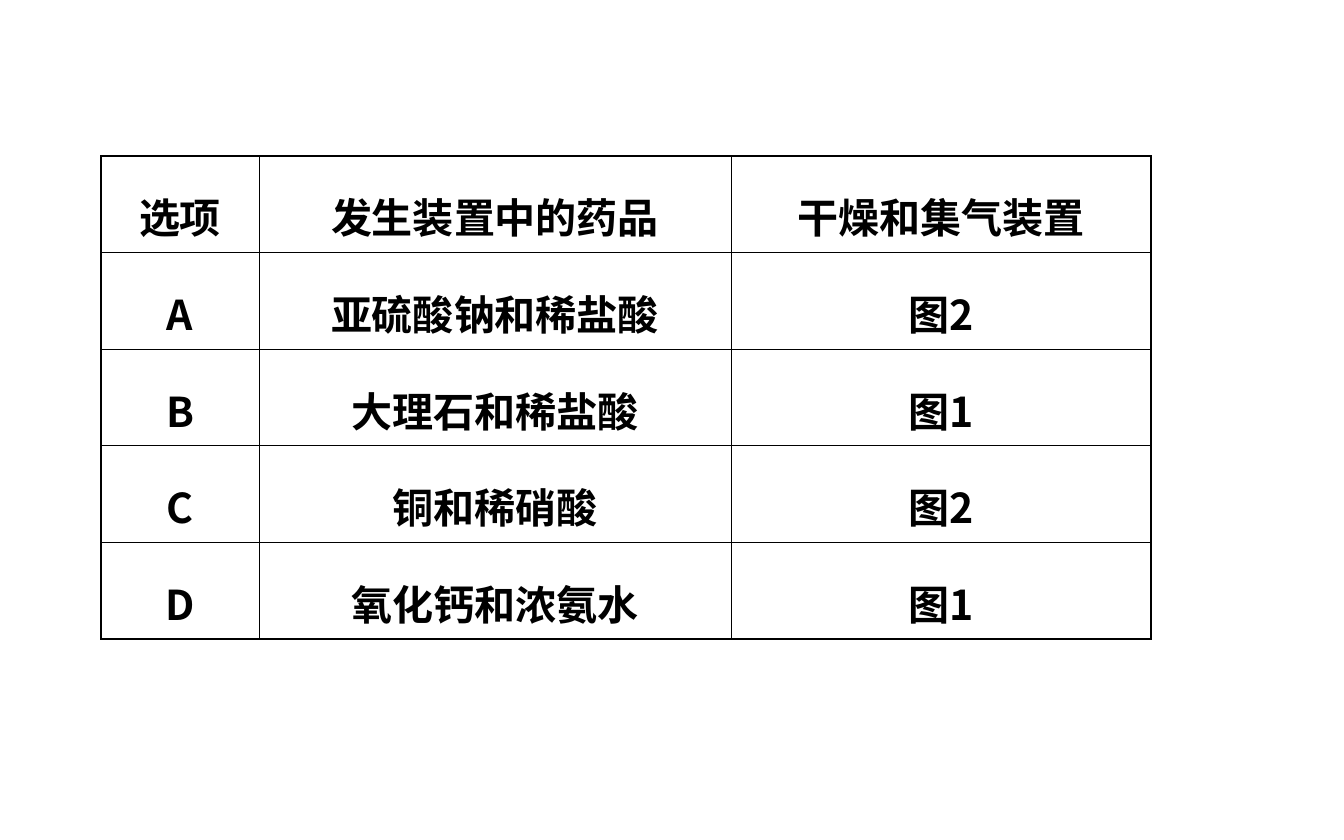
from lxml import etree
from pptx import Presentation
from pptx.dml.color import RGBColor
from pptx.enum.text import PP_ALIGN
from pptx.oxml.ns import qn
from pptx.util import Pt

CENTER = PP_ALIGN.CENTER
PX = 914400 / 134.4
COLORS = {"ink": "000000"}
FACE = "Noto Sans CJK SC"
FONT = {"name": FACE, "size": Pt(22), "bold": True}
THIN, THICK = Pt(0.45), Pt(0.96)
COLS = [158, 472, 420]
ROWS = [
    ("选项", "发生装置中的药品", "干燥和集气装置"),
    ("A", "亚硫酸钠和稀盐酸", "图2"),
    ("B", "大理石和稀盐酸", "图1"),
    ("C", "铜和稀硝酸", "图2"),
    ("D", "氧化钙和浓氨水", "图1"),
]


def px(n):
    return round(n * PX)


def add_edges(cell, outer):
    """Draw the four borders, thick where the side is on the table's rim."""
    props = cell._tc.get_or_add_tcPr()
    for i, (side, rim) in enumerate(outer.items()):
        line = etree.Element(qn(f"a:ln{side}"), w=str(THICK if rim else THIN))
        fill = etree.SubElement(line, qn("a:solidFill"))
        etree.SubElement(fill, qn("a:srgbClr"), val=COLORS["ink"])
        props.insert(i, line)


def set_text(cell, text):
    para = cell.text_frame.paragraphs[0]
    para.alignment = CENTER
    para.line_spacing = 1.4
    run = para.add_run()
    run.text = text
    for key, value in FONT.items():
        setattr(run.font, key, value)
    run.font.color.rgb = RGBColor.from_string(COLORS["ink"])
    # East Asian typeface
    etree.SubElement(run._r.get_or_add_rPr(), qn("a:ea"), typeface=FACE)


def add_grid(slide, left, top, width, height):
    rows, cols = len(ROWS), len(COLS)
    table = slide.shapes.add_table(
        rows, cols, px(left), px(top), px(width), px(height)).table
    table.first_row = table.horz_banding = False
    for col, size in zip(table.columns, COLS):
        col.width = px(size)
    for r, words in enumerate(ROWS):
        for c, text in enumerate(words):
            cell = table.cell(r, c)
            cell.fill.background()
            set_text(cell, text)
            add_edges(cell, {"L": c == 0, "R": c == cols - 1,
                             "T": r == 0, "B": r == rows - 1})


def main():
    deck = Presentation()
    deck.slide_width, deck.slide_height = px(1344), px(840)
    slide = deck.slides.add_slide(deck.slide_layouts[6])
    # Table of options
    add_grid(slide, 101, 156, sum(COLS), 83 * len(ROWS))
    deck.save("out.pptx")


if __name__ == "__main__":
    main()
